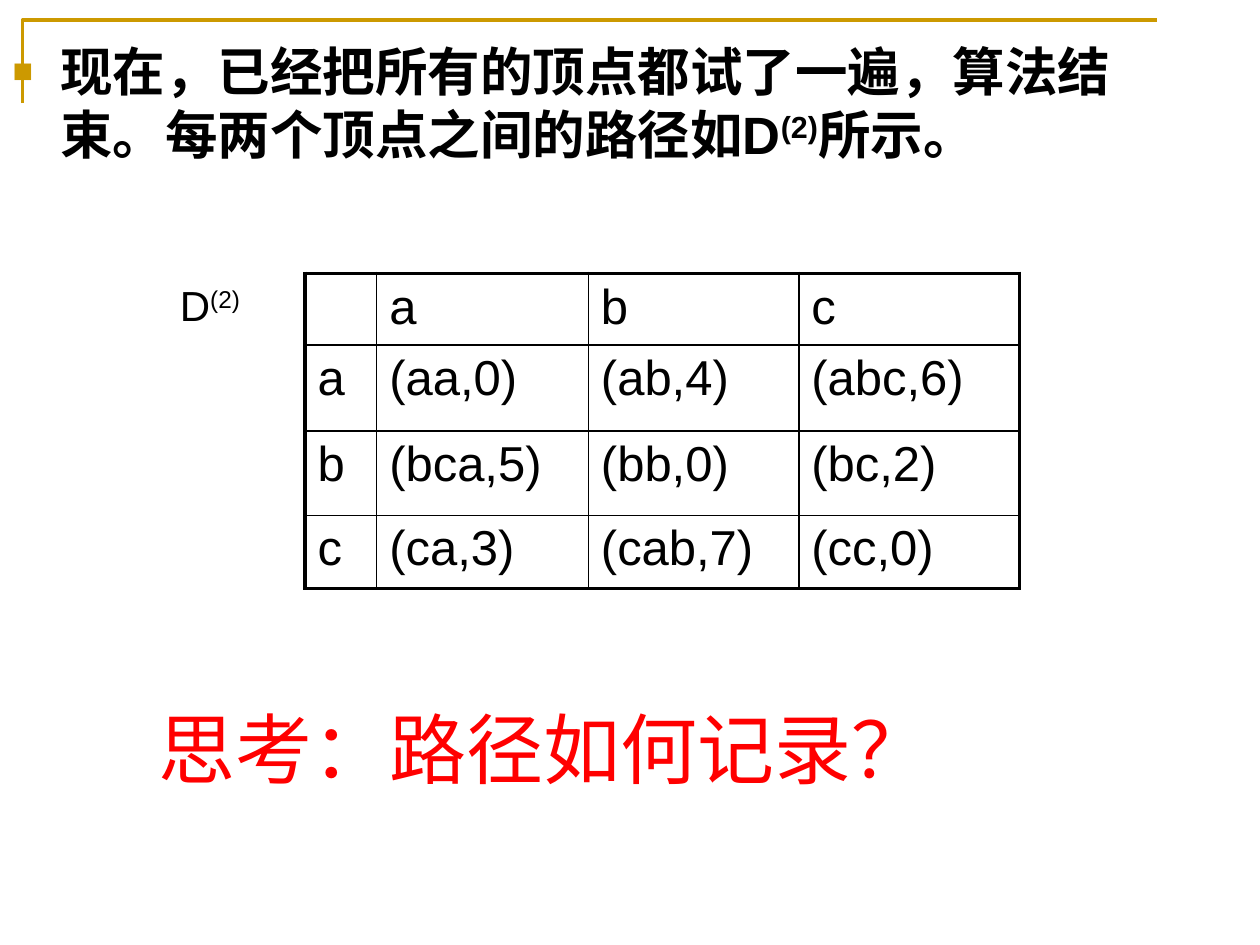
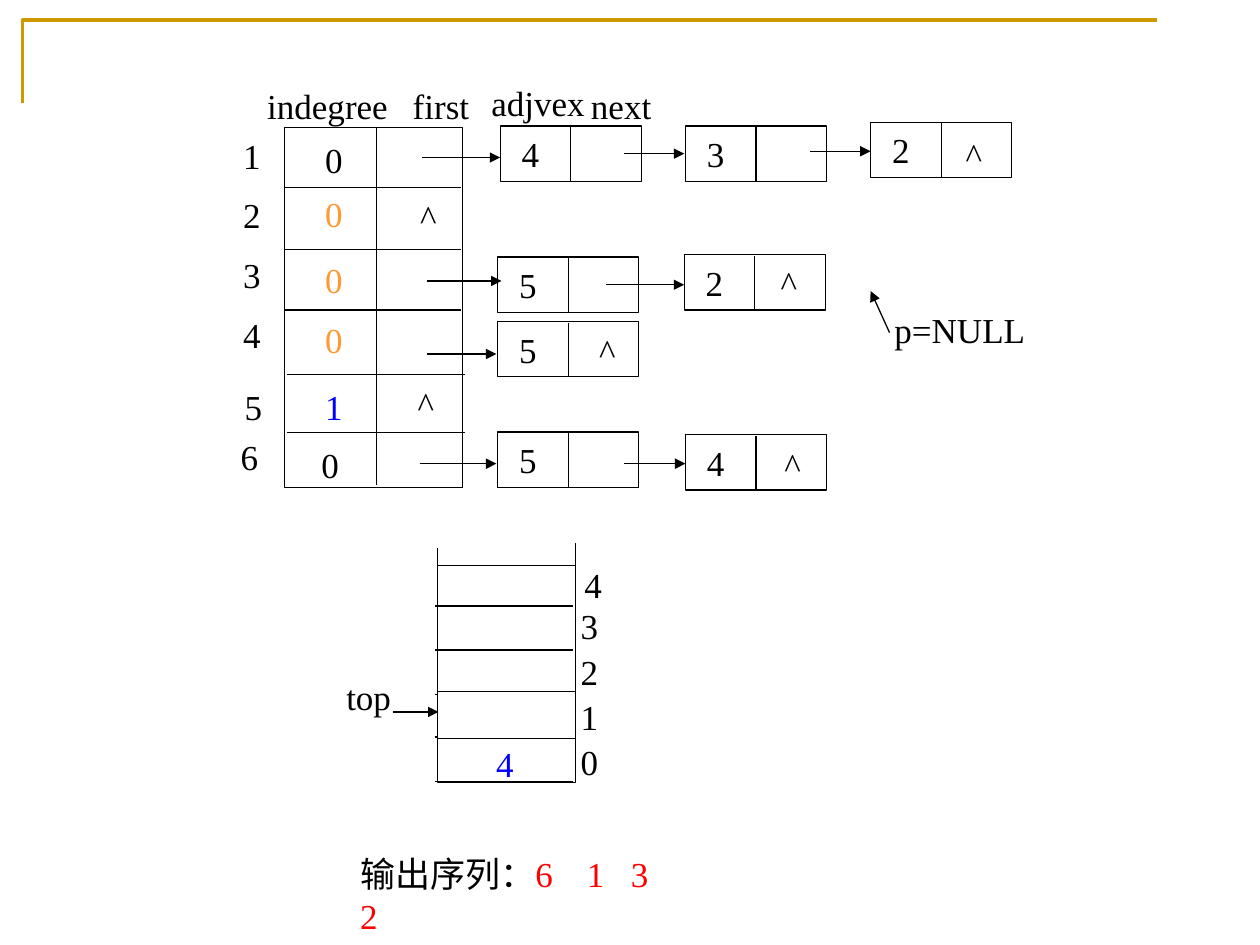
from lxml import etree
from pptx import Presentation
from pptx.dml.color import RGBColor
from pptx.enum.shapes import MSO_CONNECTOR, MSO_SHAPE
from pptx.enum.text import MSO_ANCHOR, MSO_AUTO_SIZE, PP_ALIGN
from pptx.oxml.ns import qn
from pptx.util import Inches, Pt

STRAIGHT = MSO_CONNECTOR.STRAIGHT
RECTANGLE = MSO_SHAPE.RECTANGLE
MIDDLE, TOP = MSO_ANCHOR.MIDDLE, MSO_ANCHOR.TOP
CENTER, LEFT = PP_ALIGN.CENTER, PP_ALIGN.LEFT
NO_AUTOFIT = MSO_AUTO_SIZE.NONE

BLACK = RGBColor(0x00, 0x00, 0x00)
WHITE = RGBColor(0xFF, 0xFF, 0xFF)
GOLD = RGBColor(0xCC, 0x99, 0x00)
RED = RGBColor(0xFF, 0x00, 0x00)
ORANGE = RGBColor(0xFF, 0x99, 0x33)
BLUE = RGBColor(0x00, 0x00, 0xFF)

SANS = "Arial"
SERIF = "Times New Roman"
LINE_WIDTH = Pt(0.75)
TEXT_H = 0.43
NODE_W, NODE_H = 1.12, 0.44

PATHS = [
    ["", "a", "b", "c"],
    ["a", "(aa,0)", "(ab,4)", "(abc,6)"],
    ["b", "(bca,5)", "(bb,0)", "(bc,2)"],
    ["c", "(ca,3)", "(cab,7)", "(cc,0)"],
]
COLUMN_WIDTHS = [0.57, 1.68, 1.67, 1.75]
ROW_HEIGHTS = [0.57, 0.68, 0.67, 0.58]

VERTICES = [
    ("1", 1.83, 1.02, "0", 2.48, 1.05, BLACK),
    ("2", 1.83, 1.49, "0", 2.48, 1.48, ORANGE),
    ("3", 1.83, 1.96, "0", 2.48, 2.00, ORANGE),
    ("4", 1.83, 2.44, "0", 2.48, 2.48, ORANGE),
    ("5", 1.84, 3.01, "1", 2.48, 3.01, BLUE),
    ("6", 1.81, 3.41, "0", 2.45, 3.47, BLACK),
]
ROW_LINES = [(2.25, 1.49), (2.25, 1.98), (2.25, 2.46), (2.28, 2.97), (2.28, 3.43)]
HEADINGS = [
    ("indegree", 2.02, 0.62, 1.16),
    ("first", 3.05, 0.62, 0.9),
    ("adjvex", 3.72, 0.60, 1.1),
    ("next", 4.48, 0.62, 0.9),
]
NODES = [
    ("4", 3.97, 1.00), ("3", 5.44, 1.00), ("2", 6.91, 0.97),
    ("5", 3.95, 2.04), ("2", 5.43, 2.02),
    ("5", 3.95, 2.55),
    ("5", 3.95, 3.43), ("4", 5.44, 3.45),
]
NULL_MARKS = [(3.23, 1.50), (3.21, 2.99), (7.56, 1.01),
              (6.09, 2.03), (4.65, 2.57), (6.12, 3.47)]
LINKS = [
    (3.35, 3.97, 1.25), (4.95, 5.43, 1.22), (6.43, 6.91, 1.20),
    (3.39, 3.98, 2.23), (4.81, 5.43, 2.26),
    (3.39, 3.94, 2.81),
    (3.33, 3.94, 3.68), (4.95, 5.44, 3.68),
]


def add_run(p, text, size, font=SERIF, color=BLACK, bold=False, raised=False):
    r = p.add_run()
    r.text = text
    r.font.size = Pt(size)
    r.font.name = font
    r.font.bold = bold
    r.font.color.rgb = color
    if raised:
        r.font._element.set("baseline", "30000")


def add_text(slide, text, left, top, width, height=TEXT_H, size=20, font=SERIF,
             color=BLACK, align=LEFT, anchor=TOP, wrap=False):
    box = slide.shapes.add_textbox(
        Inches(left), Inches(top), Inches(width), Inches(height))
    tf = box.text_frame
    tf.word_wrap = wrap
    tf.vertical_anchor = anchor
    p = tf.paragraphs[0]
    p.alignment = align
    add_run(p, text, size, font, color)
    return p


def add_label(slide, text, left, top, width=0.34, color=BLACK):
    add_text(slide, text, left, top, width, color=color, align=CENTER, anchor=MIDDLE)


def add_line(slide, x1, y1, x2, y2, arrow=False):
    line = slide.shapes.add_connector(
        STRAIGHT, Inches(x1), Inches(y1), Inches(x2), Inches(y2))
    line.line.color.rgb = BLACK
    line.line.width = LINE_WIDTH
    if arrow:
        etree.SubElement(line.line._get_or_add_ln(), qn("a:tailEnd"), type="triangle")
    etree.SubElement(line._element.spPr, qn("a:effectLst"))


def add_box(slide, left, top, width, height, fill=None):
    sp = slide.shapes.add_shape(
        RECTANGLE, Inches(left), Inches(top), Inches(width), Inches(height))
    sp.shadow.inherit = False
    if fill is None:
        sp.fill.background()
    else:
        sp.fill.solid()
        sp.fill.fore_color.rgb = fill
    sp.line.color.rgb = BLACK
    sp.line.width = LINE_WIDTH
    return sp


def add_node(slide, value, left, top):
    tf = add_box(slide, left, top, NODE_W, NODE_H).text_frame
    tf.margin_left = Inches(0.17)
    tf.vertical_anchor = MIDDLE
    p = tf.paragraphs[0]
    p.alignment = LEFT
    add_run(p, value, 20)
    middle = left + NODE_W / 2
    add_line(slide, middle, top + 0.01, middle, top + NODE_H)


def add_corner(slide):
    builder = slide.shapes.build_freeform(Inches(0.18), Inches(0.82))
    builder.add_line_segments(
        [(Inches(0.18), Inches(0.16)), (Inches(9.18), Inches(0.16))], close=False)
    sp = builder.convert_to_shape()
    sp.shadow.inherit = False
    sp.fill.background()
    sp.line.color.rgb = GOLD
    sp.line.width = Pt(2)


def add_square_bullet(p):
    pPr = p._p.get_or_add_pPr()
    pPr.set("marL", str(Inches(0.38)))
    pPr.set("indent", str(-Inches(0.38)))
    pPr.set("hangingPunct", "0")
    color = etree.SubElement(pPr, qn("a:buClr"))
    etree.SubElement(color, qn("a:srgbClr"), val=str(GOLD))
    etree.SubElement(pPr, qn("a:buSzPct"), val="65000")
    etree.SubElement(pPr, qn("a:buFont"), typeface=SANS)
    etree.SubElement(pPr, qn("a:buChar"), char="■")


def set_borders(cell, widths):
    tcPr = cell._tc.get_or_add_tcPr()
    for index, (side, width) in enumerate(zip(("lnL", "lnR", "lnT", "lnB"), widths)):
        ln = etree.Element(qn("a:" + side), w=str(Pt(width)))
        fill = etree.SubElement(ln, qn("a:solidFill"))
        etree.SubElement(fill, qn("a:srgbClr"), val=str(BLACK))
        tcPr.insert(index, ln)


def add_path_table(slide):
    table = slide.shapes.add_table(
        len(PATHS), len(PATHS[0]), Inches(2.42), Inches(2.17),
        Inches(sum(COLUMN_WIDTHS)), Inches(sum(ROW_HEIGHTS))).table
    table.first_row = False
    table.horz_banding = False
    for column, width in zip(table.columns, COLUMN_WIDTHS):
        column.width = Inches(width)
    for row, height in zip(table.rows, ROW_HEIGHTS):
        row.height = Inches(height)
    last = len(PATHS) - 1
    for i, values in enumerate(PATHS):
        for j, value in enumerate(values):
            cell = table.cell(i, j)
            cell.fill.background()
            edges = (j == 0, j == last, i == 0, i == last)
            set_borders(cell, [2.25 if outer else 1 for outer in edges])
            if value:
                add_run(cell.text_frame.paragraphs[0], value, 28, SANS)


def add_conclusion(slide):
    body = slide.placeholders[1]
    body.left, body.top = Inches(0), Inches(0.26)
    body.width, body.height = Inches(9.53), Inches(7.04)
    tf = body.text_frame
    tf.auto_size = NO_AUTOFIT
    p = tf.paragraphs[0]
    p.space_before = Pt(0)
    add_square_bullet(p)
    add_run(p, "现在，已经把所有的顶点都试了一遍，算法结束。每两个顶点之间的路径如D",
            30, SANS, bold=True)
    add_run(p, "(2)", 30, SANS, bold=True, raised=True)
    add_run(p, "所示。", 30, SANS, bold=True)


def build_path_slide(prs):
    slide = prs.slides.add_slide(prs.slide_layouts[1])
    title = slide.shapes.title._element
    title.getparent().remove(title)
    add_corner(slide)
    add_conclusion(slide)
    add_path_table(slide)
    p = add_text(slide, "D", 1.33, 2.17, 1, 0.5, size=24, font=SANS, wrap=True)
    add_run(p, "(2)", 24, SANS, raised=True)
    add_text(slide, "思考：路径如何记录？", 1.16, 5.52, 6.99, 0.84,
             size=44, font=SANS, color=RED, wrap=True)


def add_adjacency_list(slide):
    add_box(slide, 2.26, 1.01, 1.41, 2.86)
    add_line(slide, 2.99, 1.01, 2.99, 3.85)
    for left, y in ROW_LINES:
        add_line(slide, left, y, left + 1.41, y)
    for heading, left, top, width in HEADINGS:
        add_label(slide, heading, left, top, width)
    for number, x, y, indegree, value_x, value_y, color in VERTICES:
        add_label(slide, number, x, y)
        add_label(slide, indegree, value_x, value_y, color=color)
    for value, left, top in NODES:
        add_node(slide, value, left, top)
    for left, top in NULL_MARKS:
        add_label(slide, "^", left, top)
    for start, end, y in LINKS:
        add_line(slide, start, y, end, y, arrow=True)


def add_stack(slide):
    add_box(slide, 3.47, 4.49, 1.1, 1.72, WHITE)
    add_line(slide, 3.47, 4.35, 3.47, 6.2)
    add_line(slide, 4.57, 6.18, 4.57, 4.31)
    for y in (4.81, 5.16, 5.51, 5.85, 6.2):
        add_line(slide, 3.45, y, 4.55, y)
    add_text(slide, "4", 4.54, 4.42, 0.34)
    for i, index in enumerate("3210"):
        add_text(slide, index, 4.51, 4.75 + 0.36 * i, 0.45)
    add_text(slide, "4", 3.84, 5.84, 0.34, color=BLUE)
    add_line(slide, 3.12, 5.65, 3.48, 5.65, arrow=True)
    add_text(slide, "top", 2.65, 5.31, 0.56)
    add_box(slide, 3.47, 5.49, 1.1, 0.37, WHITE)


def add_output_sequence(slide):
    p = add_text(slide, "输出序列：", 2.76, 6.72, 2.77, 0.75, wrap=True)
    tabs = etree.SubElement(p._p.get_or_add_pPr(), qn("a:tabLst"))
    for position in (1.8, 2.15):
        etree.SubElement(tabs, qn("a:tab"), pos=str(Inches(position)), algn="l")
    add_run(p, "6\t1\t3", 20, color=RED)
    p.add_line_break()
    add_run(p, "2", 20, color=RED)


def build_topological_slide(prs):
    slide = prs.slides.add_slide(prs.slide_layouts[6])
    add_corner(slide)
    add_adjacency_list(slide)
    add_line(slide, 7.06, 2.64, 6.91, 2.31, arrow=True)
    add_text(slide, "p=NULL", 7, 2.4, 1.24)
    add_stack(slide)
    add_output_sequence(slide)


def main():
    prs = Presentation()
    prs.slide_width, prs.slide_height = Inches(10), Inches(7.5)
    build_path_slide(prs)
    build_topological_slide(prs)
    prs.save("out.pptx")


if __name__ == "__main__":
    main()
